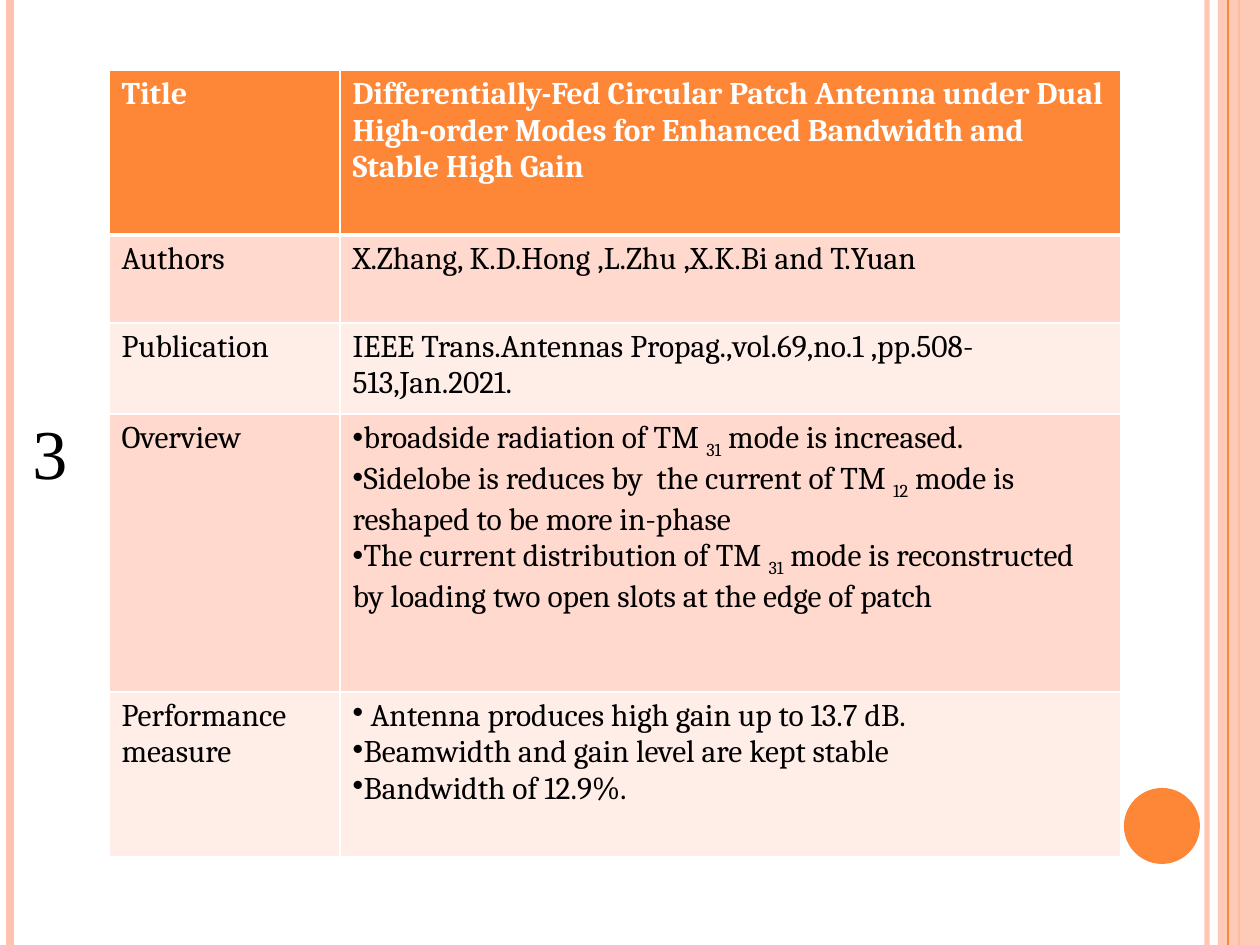
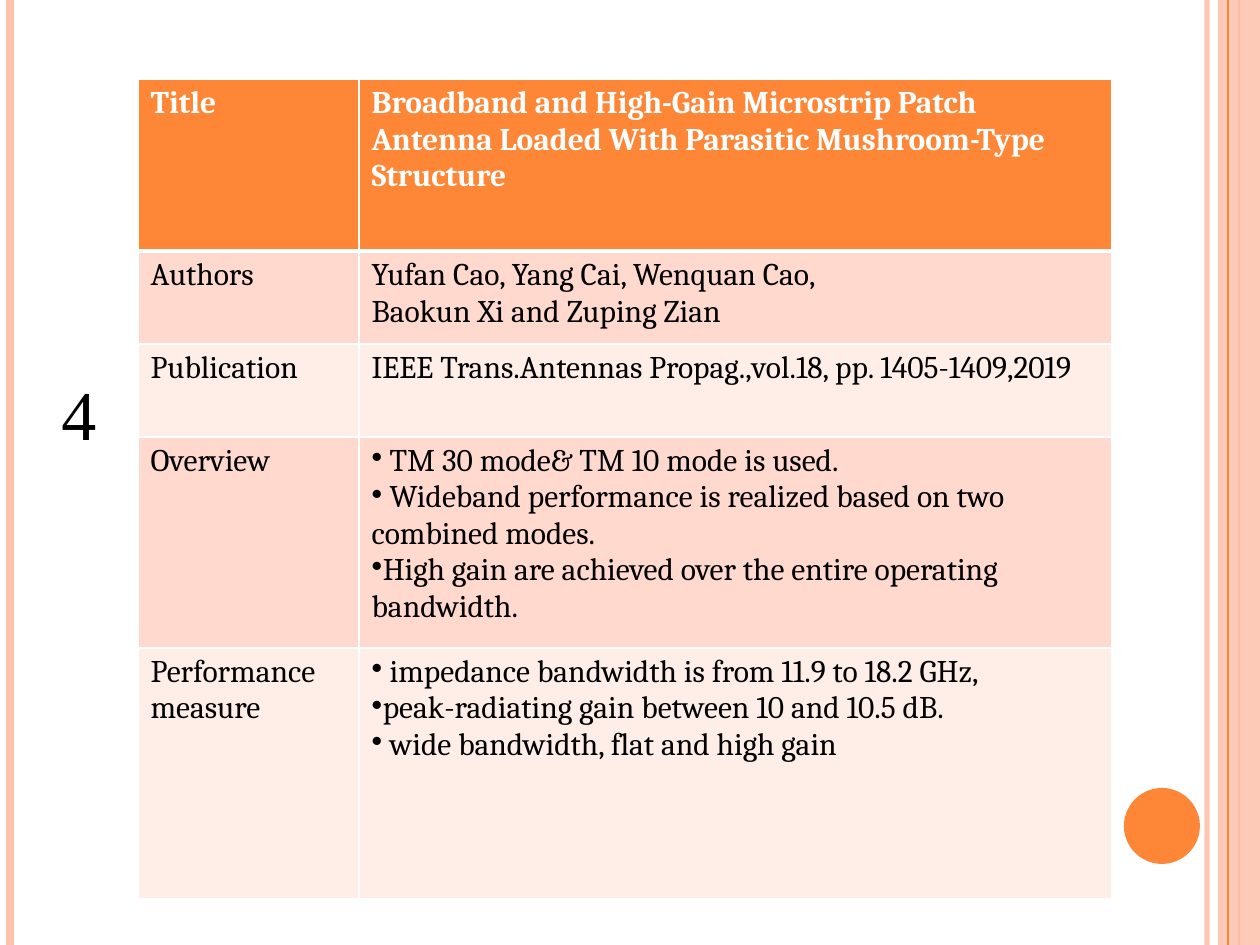
"""Build two literature survey slides, each with one paper summary table."""
from dataclasses import dataclass
from lxml.etree import SubElement
from pptx import Presentation
from pptx.dml.color import RGBColor
from pptx.enum.shapes import MSO_CONNECTOR, MSO_SHAPE
from pptx.oxml.ns import qn
from pptx.util import Emu, Pt


@dataclass(frozen=True)
class Theme:
    orange: RGBColor = RGBColor.from_string("FE8637")
    peach: RGBColor = RGBColor.from_string("FEC3AE")
    band_dark: RGBColor = RGBColor.from_string("FFD9CE")
    band_light: RGBColor = RGBColor.from_string("FFEDE8")
    white: RGBColor = RGBColor.from_string("FFFFFF")
    black: RGBColor = RGBColor.from_string("000000")
    table_font: str = "Cambria"
    number_font: str = "Times New Roman"
    table_size: int = 18
    number_size: int = 40


theme = Theme()


def px(n):
    return Emu(round(n * 914400 / 126))


def write(tf, text, font, size, color, bold=False, bullets=False):
    """Fill a frame line by line; text between bars is subscript."""
    tf.word_wrap = True
    for i, line in enumerate(text.split("\n")):
        p = tf.paragraphs[0] if i == 0 else tf.add_paragraph()
        if bullets:
            SubElement(p._p.get_or_add_pPr(), qn("a:buChar"), char="•")
        for j, part in enumerate(line.split("|")):
            r = p.add_run()
            r.text = part
            r.font.name, r.font.size = font, Pt(size)
            r.font.bold, r.font.color.rgb = bold, color
            if j % 2:
                r._r.get_or_add_rPr().set("baseline", "-25000")


labels = ["Title", "Authors", "Publication", "Overview"]
papers = [
    dict(
        number="3", number_at=(20, 403), table_at=(109, 70),
        cols=[231, 781], rows=[165, 88, 91, 278, 165],
        labels=labels + ["Performance\nmeasure"],
        details=[
            "Differentially-Fed Circular Patch Antenna under Dual High-order Modes "
            "for Enhanced Bandwidth and Stable High Gain",
            "X.Zhang, K.D.Hong ,L.Zhu ,X.K.Bi and T.Yuan",
            "IEEE Trans.Antennas Propag.,vol.69,no.1 ,pp.508-513,Jan.2021.",
            "broadside radiation of TM |31| mode is increased.\n"
            "Sidelobe is reduces by  the current of TM |12| mode is reshaped "
            "to be more in-phase\n"
            "The current distribution of TM |31| mode is reconstructed by loading "
            "two open slots at the edge of patch",
            " Antenna produces high gain up to 13.7 dB.\n"
            "Beamwidth and gain level are kept stable\n"
            "Bandwidth of 12.9%.",
        ],
    ),
    dict(
        number="4", number_at=(49, 364), table_at=(138, 79),
        cols=[221, 753], rows=[172, 93, 93, 211, 251],
        labels=labels + ["Performance measure"],
        details=[
            "Broadband and High-Gain Microstrip Patch Antenna Loaded With "
            "Parasitic Mushroom-Type Structure",
            "Yufan Cao, Yang Cai, Wenquan Cao,\nBaokun Xi and Zuping Zian",
            "IEEE Trans.Antennas Propag.,vol.18, pp. 1405-1409,2019",
            " TM 30 mode& TM 10 mode is used.\n"
            " Wideband performance is realized based on two combined modes.\n"
            "High gain are achieved over the entire operating bandwidth.",
            " impedance bandwidth is from 11.9 to 18.2 GHz,\n"
            "peak-radiating gain between 10 and 10.5 dB.\n"
            " wide bandwidth, flat and high gain",
        ],
    ),
]

prs = Presentation()
prs.slide_width, prs.slide_height = px(1260), px(945)
layout = prs.slide_layouts[6]
for ph in list(layout.placeholders):
    layout.shapes.element.remove(ph.element)
slides = [prs.slides.add_slide(layout) for _ in papers]

decor = [
    ("line", 1207, theme.peach, 3, 93),
    ("line", 10, theme.peach, 4.5, 100),
    ("line", 1239, theme.orange, 1.5, 100),
    (MSO_SHAPE.RECTANGLE, (1218, 0, 42, 945), theme.peach, 0, 87),
    ("line", 1228, theme.orange, 0.75, 100),
    (MSO_SHAPE.OVAL, (1124, 788, 76, 76), theme.orange, 0, 100),
]
for kind, place, color, width, alpha in decor:
    if kind == "line":
        sp = slides[0].shapes.add_connector(
            MSO_CONNECTOR.STRAIGHT, px(place), px(0), px(place), px(945))
        sp.line.color.rgb = color
        sp.line.width = Pt(width)
        SubElement(sp.element.spPr, qn("a:effectLst"))
    else:
        sp = slides[0].shapes.add_shape(kind, *map(px, place))
        sp.shadow.inherit = False
        sp.fill.solid()
        sp.fill.fore_color.rgb = color
        sp.line.fill.background()
    if alpha < 100:
        for clr in sp.element.iter(qn("a:srgbClr")):
            SubElement(clr, qn("a:alpha"), val=str(alpha * 1000))
    layout.shapes.element.append(sp.element)

for s, paper in zip(slides, papers):
    cols, rows = paper["cols"], paper["rows"]
    left, top = paper["table_at"]
    table = s.shapes.add_table(
        len(rows), len(cols), px(left), px(top), px(sum(cols)), px(sum(rows))).table
    table.first_row = table.horz_banding = False
    for col, width in zip(table.columns, cols):
        col.width = px(width)
    for i, (row, height) in enumerate(zip(table.rows, rows)):
        row.height = px(height)
        band = theme.band_dark if i % 2 else theme.band_light
        for j, cell in enumerate(row.cells):
            for side in "LRTB":
                thick = (i, side) in [(0, "B"), (1, "T")]
                ln = SubElement(cell._tc.get_or_add_tcPr(), qn(f"a:ln{side}"),
                                w=str(Pt(3 if thick else 1)))
                fill = SubElement(ln, qn("a:solidFill"))
                SubElement(fill, qn("a:srgbClr"), val=str(theme.white))
            cell.fill.solid()
            cell.fill.fore_color.rgb = theme.orange if i == 0 else band
            write(cell.text_frame, paper["details" if j else "labels"][i],
                  font=theme.table_font, size=theme.table_size,
                  color=theme.white if i == 0 else theme.black,
                  bold=i == 0, bullets=j == 1 and i >= 3)
    left, top = paper["number_at"]
    box = s.shapes.add_textbox(px(left), px(top), px(59), px(97))
    write(box.text_frame, paper["number"], font=theme.number_font,
          size=theme.number_size, color=theme.black)

prs.save("out.pptx")
